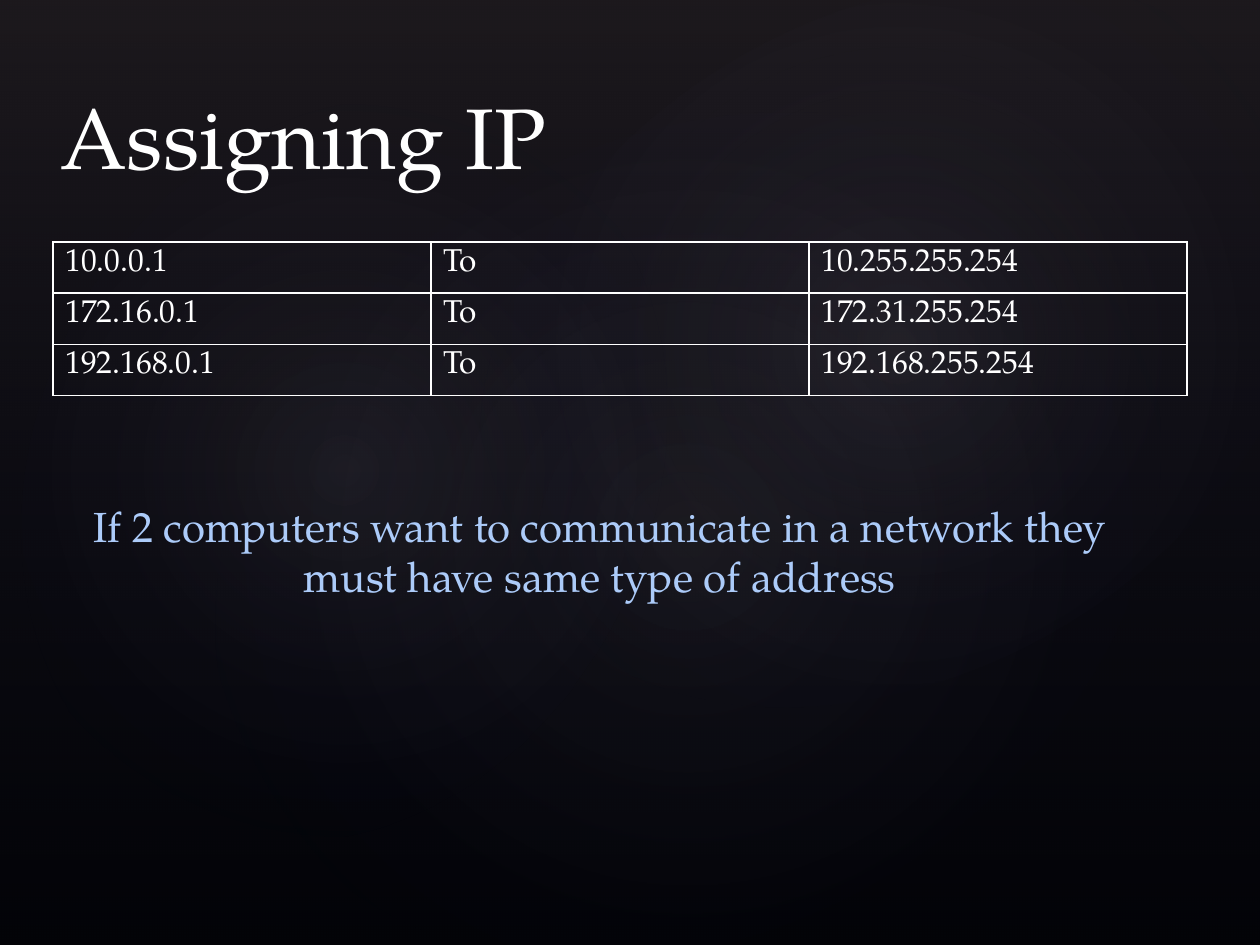
"""Build the slide on assigning private IP address ranges."""
from lxml.etree import fromstring
from pptx import Presentation
from pptx.dml.color import RGBColor
from pptx.enum.shapes import MSO_SHAPE as Shape
from pptx.enum.text import MSO_ANCHOR as Anchor, PP_ALIGN as Align
from pptx.oxml.ns import nsdecls, qn
from pptx.util import Inches, Pt

COLORS = {"black": "000000", "haze": "504652", "navy": "242852",
          "glow": "C4BCC6", "white": "FFFFFF", "blue": "ACCBF9"}
FONT = "TeX Gyre Pagella"


def style_text(paragraph, size, color):
    font = paragraph.runs[0].font
    font.name, font.size = FONT, Pt(size)
    font.color.rgb = RGBColor.from_string(COLORS[color])


def add_gradient_shape(kind, box, stops, direction, rotation=0):
    shape = slide.shapes.add_shape(kind, *map(Inches, box))
    shape.rotation = rotation
    shape.shadow.inherit = False
    shape.line.fill.background()
    shape.fill.background()
    stop_xml = "".join(
        f'<a:gs pos="{position * 1000}"><a:srgbClr val="{COLORS[color]}">'
        f'<a:alpha val="{alpha * 1000}"/></a:srgbClr></a:gs>'
        for position, color, alpha in stops)
    gradient = fromstring(f'<a:gradFill {nsdecls("a")} rotWithShape="1">'
                          f'<a:gsLst>{stop_xml}</a:gsLst>{direction}</a:gradFill>')
    properties = shape.fill._xPr
    properties.replace(properties.find(qn("a:noFill")), gradient)


presentation = Presentation()
presentation.slide_width, presentation.slide_height = Inches(10), Inches(7.5)
slide = presentation.slides.add_slide(presentation.slide_layouts[6])
slide.background.fill.solid()
slide.background.fill.fore_color.rgb = RGBColor.from_string(COLORS["black"])

add_gradient_shape(Shape.RECTANGLE, (0, 0, 10, 7.5),
                   [(0, "haze", 36), (100, "navy", 10)],
                   '<a:lin ang="5400000" scaled="0"/>')
radial = ('<a:path path="circle"><a:fillToRect l="50000" t="50000" '
          'r="50000" b="50000"/></a:path>')
glows = [((1.5, 1.14, 7.92, 6.24), 328.7, 7),
         ((-0.3, 1.28, 6.06, 4.9), 294.3, 8),
         ((3.58, 0.13, 7.09, 5.2), 328.7, 8)]
for box, rotation, alpha in glows:
    add_gradient_shape(Shape.OVAL, box, [(0, "glow", alpha), (58, "navy", 0)],
                       radial, rotation)

ranges = [("10.0.0.1", "10.255.255.254"),
          ("172.16.0.1", "172.31.255.254"),
          ("192.168.0.1", "192.168.255.254")]
table = slide.shapes.add_table(len(ranges), 3, Inches(0.42), Inches(1.92),
                               Inches(9), Inches(1.22)).table
table.first_row = table.horz_banding = False
for row, (first, last) in zip(table.rows, ranges):
    for cell, text in zip(row.cells, (first, "To", last)):
        cell.text_frame.text = text
        style_text(cell.text_frame.paragraphs[0], 18, "white")
        cell.fill.background()
        cell_properties = cell._tc.get_or_add_tcPr()
        for index, side in enumerate("LRTB"):
            cell_properties.insert(index, fromstring(
                f'<a:ln{side} {nsdecls("a")} w="12700"><a:solidFill>'
                f'<a:srgbClr val="{COLORS["white"]}"/></a:solidFill></a:ln{side}>'))

texts = [("Assigning IP", (0.38, 0.53, 8.25, 1), 49, "white", Align.LEFT, Anchor.BOTTOM),
         ("If 2 computers want to communicate in a network they must have "
          "same type of address", (0.42, 3.92, 8.68, 0.91), 24, "blue",
          Align.CENTER, Anchor.TOP)]
for text, box, size, color, alignment, anchor in texts:
    text_frame = slide.shapes.add_textbox(*map(Inches, box)).text_frame
    text_frame.word_wrap = True
    text_frame.vertical_anchor = anchor
    text_frame.text = text
    text_frame.paragraphs[0].alignment = alignment
    style_text(text_frame.paragraphs[0], size, color)

presentation.save("out.pptx")
